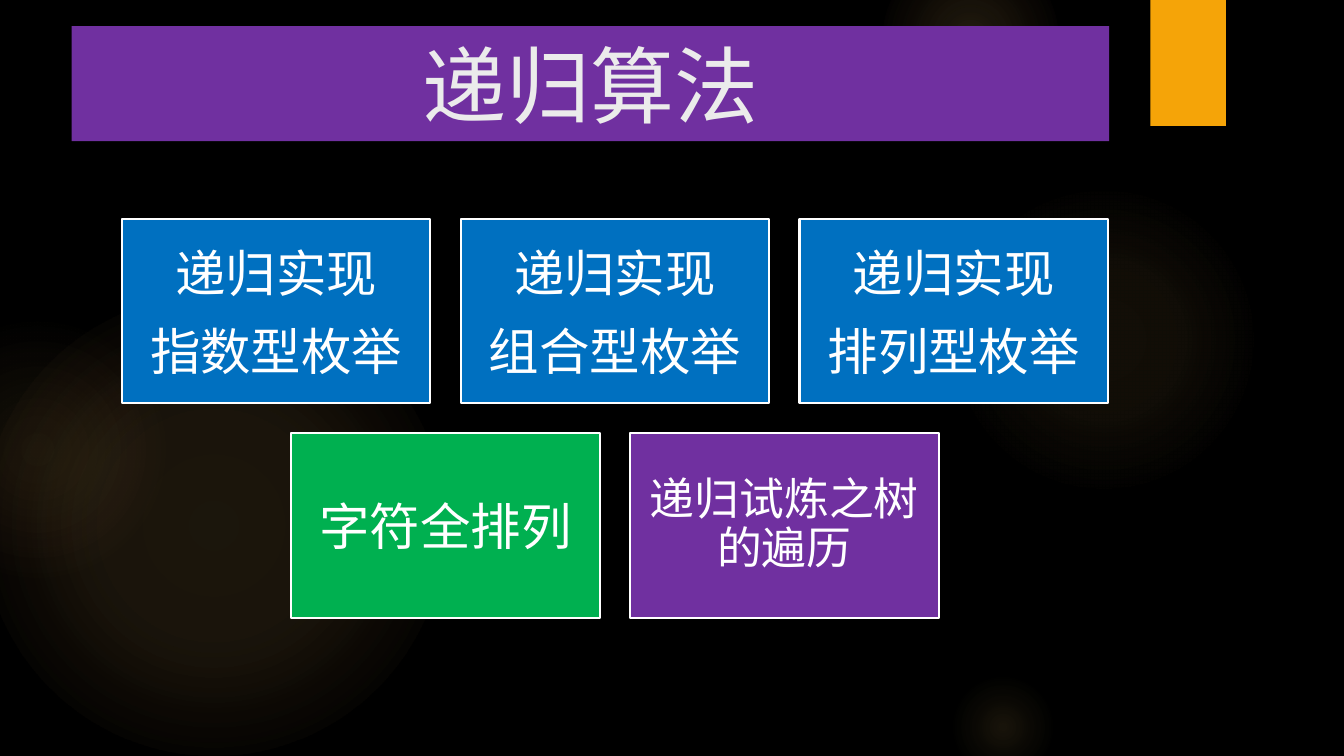
import pptx
import pptx.dml.color
import pptx.enum.shapes
import pptx.enum.text
import pptx.oxml
import pptx.oxml.ns
import pptx.util
from pptx.util import Inches

COLORS = {"black": "000000", "amber": "F5A408", "glow": "FAC96A", "peach": "F59B74",
          "purple": "7030A0", "blue": "0070C0", "green": "00B050",
          "white": "FFFFFF", "title": "EBEBEB"}
TITLE_FONT, CARD_FONT = "League Spartan", "Noto Sans CJK SC"
SHAPES = pptx.enum.shapes.MSO_SHAPE
CENTER = pptx.enum.text.PP_ALIGN.CENTER
MIDDLE = pptx.enum.text.MSO_ANCHOR.MIDDLE

# left, top, diameter, then (position %, colour, opacity %) stops
GLOWS = [
    (-0.17, 2.92, 4.58, [(0, "glow", 11), (36, "glow", 10), (75, "glow", 0)]),
    (-0.92, 3.17, 2.58, [(0, "glow", 8), (36, "glow", 5), (71, "peach", 0)]),
    (9.41, 1.83, 3.08, [(0, "glow", 7), (36, "glow", 6), (69, "glow", 0)]),
    (8.75, -0.5, 1.75, [(0, "glow", 14), (36, "glow", 7), (73, "glow", 0)]),
    (9.41, 6.67, 1.08, [(0, "glow", 10), (31, "glow", 5), (66, "glow", 0)]),
]

# Each row: left edge, then (lines, colour, size, line spacing, inset)
CARD_ROWS = [
    (1.21, [(["递归实现", f"{kind}型枚举"], "blue", 36, 1.0, 0.15)
            for kind in ("指数", "组合", "排列")]),
    (2.89, [(["字符全排列"], "green", 36, 1.0, 0.15),
            (["递归试炼之树的遍历"], "purple", 32, 0.9, 0.13)]),
]
CARD_TOP, CARD_WIDTH, CARD_HEIGHT, CARD_GAP = 2.17, 3.06, 1.83, 0.3


def rgb(name):
    return pptx.dml.color.RGBColor.from_string(COLORS[name])


def paint(shape, color):
    shape.fill.solid()
    shape.fill.fore_color.rgb = rgb(color)


def add_plain_shape(page, kind, left, top, width, height):
    shape = page.shapes.add_shape(kind, Inches(left), Inches(top),
                                  Inches(width), Inches(height))
    shape.shadow.inherit = False
    shape.line.fill.background()
    return shape


def add_glow(page, left, top, diameter, stops):
    glow = add_plain_shape(page, SHAPES.OVAL, left, top, diameter, diameter)
    marks = "".join(
        f'<a:gs pos="{position * 1000}"><a:srgbClr val="{COLORS[color]}">'
        f'<a:alpha val="{opacity * 1000}"/></a:srgbClr></a:gs>'
        for position, color, opacity in stops)
    gradient = pptx.oxml.parse_xml(
        f'<a:gradFill {pptx.oxml.ns.nsdecls("a")} rotWithShape="1"><a:gsLst>{marks}</a:gsLst>'
        '<a:path path="circle"><a:fillToRect l="50000" t="50000" r="50000" b="50000"/>'
        '</a:path></a:gradFill>')
    outline = glow._element.spPr.find(pptx.oxml.ns.qn("a:ln"))
    outline.addprevious(gradient)


def write_paragraph(para, text, font, size, color, **layout):
    for name, value in {"alignment": CENTER, **layout}.items():
        setattr(para, name, value)
    span = para.add_run()
    span.text = text
    for name, value in {"name": font, "size": pptx.util.Pt(size)}.items():
        setattr(span.font, name, value)
    span.font.color.rgb = rgb(color)
    east_asian = pptx.oxml.parse_xml(
        f'<a:ea {pptx.oxml.ns.nsdecls("a")} typeface="{font}"/>')
    span.font._element.find(pptx.oxml.ns.qn("a:latin")).addnext(east_asian)


def format_frame(frame, inset):
    margin = Inches(inset)
    settings = {"word_wrap": True, "vertical_anchor": MIDDLE,
                "margin_left": margin, "margin_right": margin,
                "margin_top": margin, "margin_bottom": margin}
    for name, value in settings.items():
        setattr(frame, name, value)


def add_title(page, text):
    title = page.shapes.title
    page.shapes._spTree.append(title._element)  # in front of the glows
    box = {"left": 0.71, "top": 0.26, "width": 10.29, "height": 1.14}
    for name, value in box.items():
        setattr(title, name, Inches(value))
    paint(title, "purple")
    format_frame(title.text_frame, 0.05)
    title.text_frame.auto_size = pptx.enum.text.MSO_AUTO_SIZE.NONE
    write_paragraph(title.text_frame.paragraphs[0], text, TITLE_FONT, 60, "title")


def add_card(page, left, top, lines, color, size, spacing, inset):
    card = add_plain_shape(page, SHAPES.RECTANGLE, left, top, CARD_WIDTH, CARD_HEIGHT)
    paint(card, color)
    card.line.color.rgb = rgb("white")
    card.line.width = pptx.util.Pt(1.5)
    frame = card.text_frame
    format_frame(frame, inset)
    for index, line in enumerate(lines):
        para = frame.add_paragraph() if index else frame.paragraphs[0]
        write_paragraph(para, line, CARD_FONT, size, "white", line_spacing=spacing,
                        space_after=pptx.util.Pt(size * 0.35))


def main():
    deck = pptx.Presentation()
    deck.slide_width, deck.slide_height = Inches(13.33), Inches(7.5)
    page = deck.slides.add_slide(deck.slide_layouts[5])
    paint(page.background, "black")

    # Backdrop
    for glow in GLOWS:
        add_glow(page, *glow)
    paint(add_plain_shape(page, SHAPES.RECTANGLE, 11.41, 0, 0.75, 1.25), "amber")

    # Title and topic cards
    add_title(page, "递归算法")
    for row, (row_left, cards) in enumerate(CARD_ROWS):
        top = CARD_TOP + row * (CARD_HEIGHT + CARD_GAP)
        for column, card in enumerate(cards):
            add_card(page, row_left + column * (CARD_WIDTH + CARD_GAP), top, *card)

    deck.save("out.pptx")


if __name__ == "__main__":
    main()
